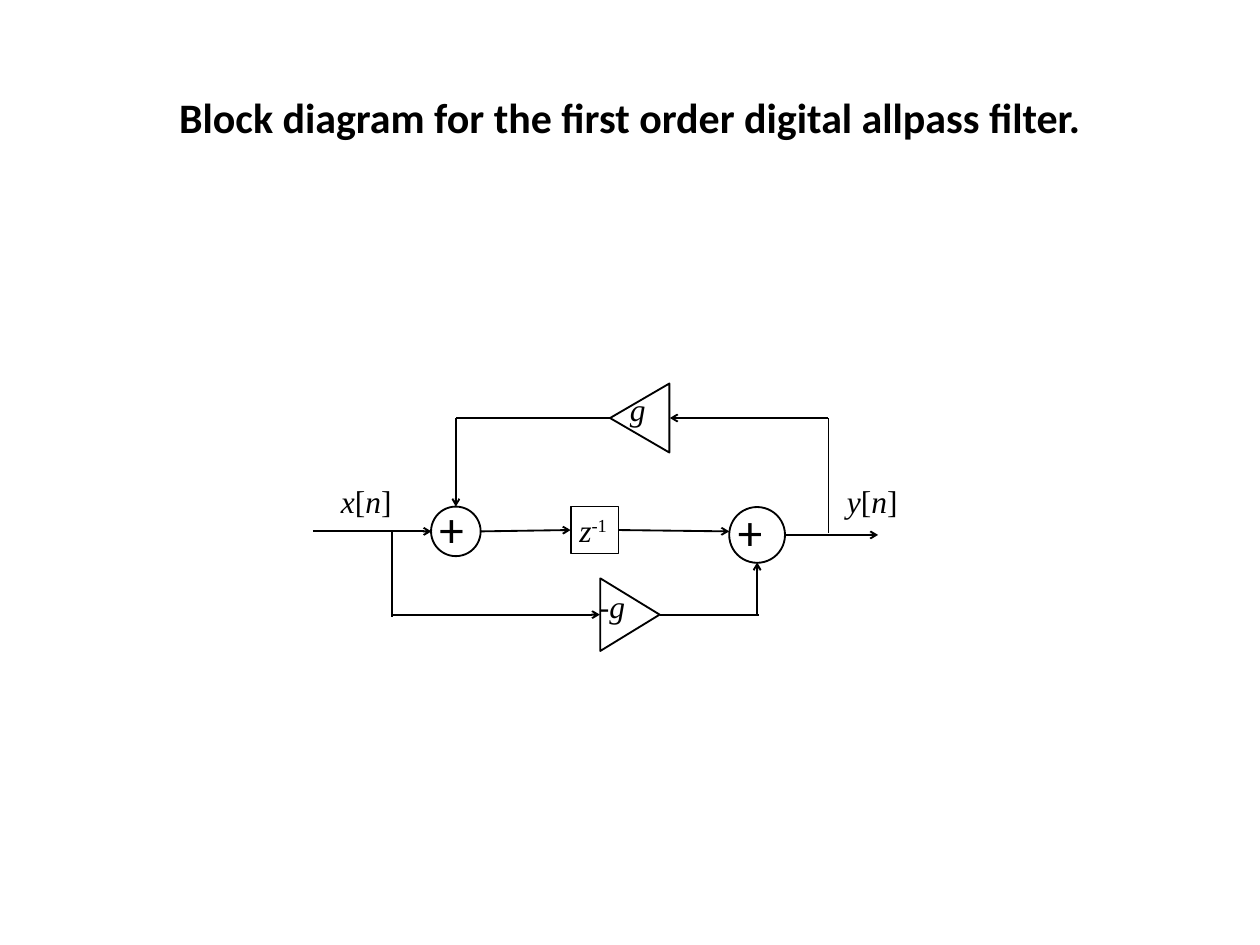
from dataclasses import dataclass

from lxml import etree
from pptx import Presentation
from pptx.dml.color import RGBColor
from pptx.enum import shapes, text
from pptx.oxml import ns
from pptx.util import Emu, Inches, Pt

BLACK = RGBColor(0, 0, 0)
SANS, SERIF = "Calibri", "Times New Roman"
BIG, SMALL = 39.8, 25.6
KIND = shapes.MSO_SHAPE

# Grid: square cells of a tenth of an inch
COLS, ROWS = 142.2, 106.7
TAP, SUM1, SUM2, BACK = 44.2, 51.45, 85.45, 93.5  # columns
LOOP, MAIN, OUT, FEED = 47.2, 60, 60.4, 69.4  # rows


@dataclass
class Node:
    """A block, placed by its centre."""
    kind: int
    x: float
    y: float
    w: float
    h: float
    turn: int = 0


@dataclass
class Label:
    """Text; the runs are (words, style), i for italic and s for raised."""
    runs: list[tuple[str, str]]
    x: float
    y: float
    w: float
    h: float
    face: str = SERIF
    size: float = SMALL


@dataclass
class Wire:
    """A line along the signal's flow."""
    x1: float
    y1: float
    x2: float
    y2: float
    arrow: bool = True


def cell(n: float) -> Emu:
    return Inches(n / 10)


def write(shape, runs: list[tuple[str, str]], face: str, size: float) -> None:
    frame = shape.text_frame
    frame.word_wrap = False
    frame.vertical_anchor = text.MSO_ANCHOR.TOP
    para = frame.paragraphs[0]
    para.alignment = text.PP_ALIGN.LEFT
    font = para.font
    font.name, font.size = face, Pt(size)
    font.color.rgb = BLACK
    for words, style in runs:
        run = para.add_run()
        run.text = words
        if "i" in style:
            run.font.italic = True
        if "s" in style:
            run._r.get_or_add_rPr().set("baseline", "30000")


def draw_node(slide, n: Node):
    shape = slide.shapes.add_shape(
        n.kind, cell(n.x - n.w / 2), cell(n.y - n.h / 2), cell(n.w), cell(n.h))
    shape.rotation = n.turn
    shape.shadow.inherit = False
    shape.fill.background()
    shape.line.color.rgb = BLACK
    shape.line.width = Pt(1.5)
    return shape


def draw_label(slide, b: Label):
    box = slide.shapes.add_textbox(cell(b.x), cell(b.y), cell(b.w), cell(b.h))
    write(box, b.runs, b.face, b.size)
    return box


def draw_wire(slide, w: Wire):
    line = slide.shapes.add_connector(
        shapes.MSO_CONNECTOR.STRAIGHT,
        cell(w.x1), cell(w.y1), cell(w.x2), cell(w.y2))
    line.line.color.rgb = BLACK
    line.line.width = Pt(1.5)
    if w.arrow:
        etree.SubElement(line.line._get_or_add_ln(), ns.qn("a:tailEnd"), type="arrow")
    etree.SubElement(line._element.spPr, ns.qn("a:effectLst"))
    return line


def signal(name: str) -> list[tuple[str, str]]:
    return [(name, "i"), ("[", ""), ("n", "i"), ("]", "")]


NODES = [
    Node(KIND.OVAL, SUM1, MAIN, 5.6, 5.6),
    Node(KIND.OVAL, SUM2, OUT, 6.3, 6.3),
    Node(KIND.ISOSCELES_TRIANGLE, 72.2, LOOP, 7.8, 6.7, 270),
    Node(KIND.ISOSCELES_TRIANGLE, 71.1, FEED, 8.2, 6.7, 90),
]
DELAY = Node(KIND.RECTANGLE, 67.1, 59.85, 5.4, 5.3)

LABELS = [
    Label([("+", "")], 48.6, 55.8, 5.7, 7.7, SANS, BIG),
    Label([("+", "")], 82.3, 56.1, 4.8, 7.7, SANS, BIG),
    Label(signal("x"), 37.5, 53.9, 7.8, 5.3),
    Label(signal("y"), 94.6, 53.9, 7.8, 5.3),
    Label([("g", "i")], 70.1, 43.5, 3.8, 5.3),
    Label([("-g", "i")], 66.6, 65.8, 5, 5.3),
]

WIRES = [
    # Input and output
    Wire(35.3, MAIN, 48.7, MAIN),
    Wire(88.6, OUT, 99.1, OUT),
    # Feedback through g
    Wire(BACK, 60.2, BACK, LOOP, False),
    Wire(BACK, LOOP, 75.6, LOOP),
    Wire(68.9, LOOP, SUM1, LOOP, False),
    Wire(SUM1, LOOP, SUM1, 57.2),
    # Feed forward through -g
    Wire(TAP, 59.9, TAP, 69.7, False),
    Wire(TAP, FEED, 67.7, FEED),
    Wire(74.5, FEED, 85.7, FEED, False),
    Wire(SUM2, FEED, SUM2, 63.5),
]


def main() -> None:
    deck = Presentation()
    deck.slide_width, deck.slide_height = cell(COLS), cell(ROWS)
    slide = deck.slides.add_slide(deck.slide_layouts[6])

    # Title
    words = "Block diagram for the first order digital allpass filter."
    title = draw_label(slide, Label([(words, "")], 7.1, 4.3, 128, 17.8, SANS, 34.1))
    title.text_frame.word_wrap = True
    title.text_frame.vertical_anchor = text.MSO_ANCHOR.MIDDLE
    head = title.text_frame.paragraphs[0]
    head.alignment = text.PP_ALIGN.CENTER
    head.font.bold = True

    # Blocks
    for node in NODES:
        draw_node(slide, node)
    delay = draw_node(slide, DELAY)
    write(delay, [("z", "i"), ("-1", "s")], SERIF, SMALL)

    # Wires, the last two joined to the delay
    for wire in WIRES:
        draw_wire(slide, wire)
    enter = draw_wire(slide, Wire(54.2, MAIN, 64.4, DELAY.y))
    enter.end_connect(delay, 1)
    leave = draw_wire(slide, Wire(69.8, DELAY.y, 82.3, MAIN))
    leave.begin_connect(delay, 3)

    # Labels
    for label in LABELS:
        draw_label(slide, label)

    deck.save("out.pptx")


if __name__ == "__main__":
    main()
